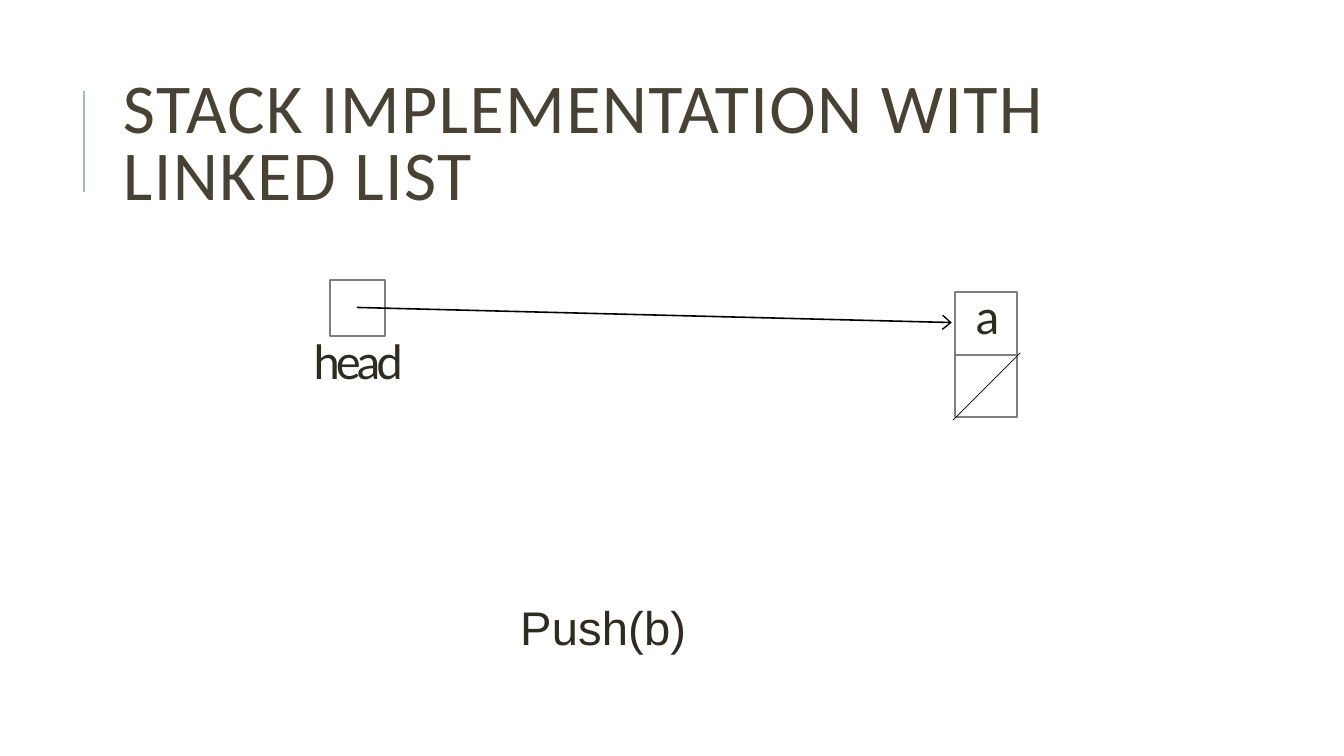
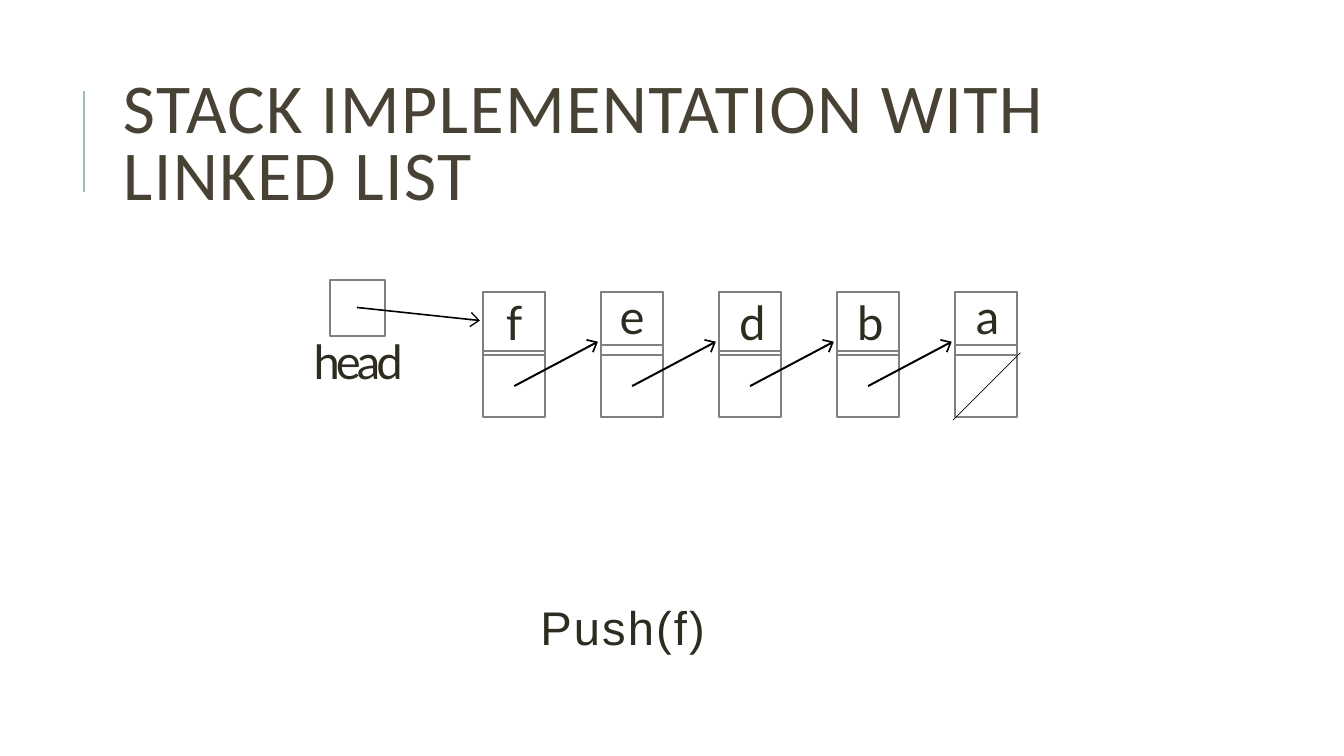
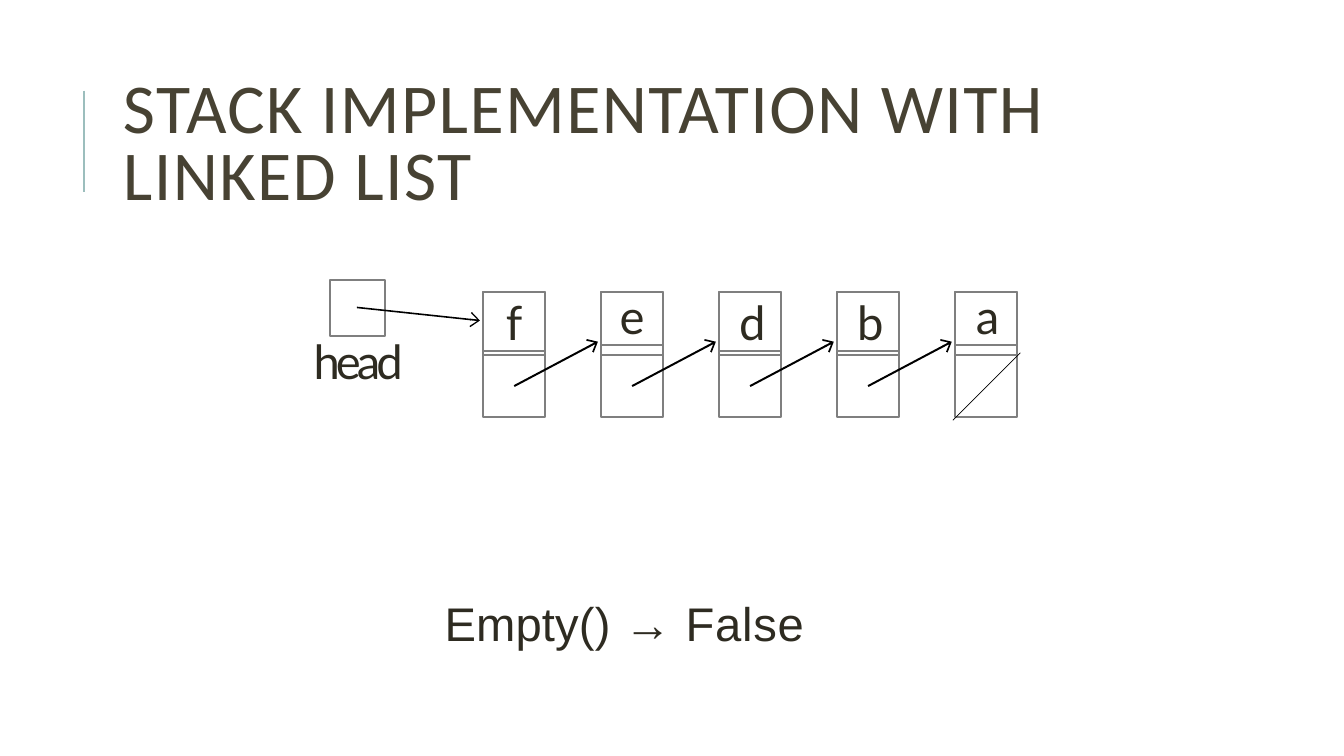
from lxml import etree
from pptx import Presentation
from pptx.dml.color import RGBColor
from pptx.enum.shapes import MSO_CONNECTOR, MSO_SHAPE
from pptx.enum.text import MSO_ANCHOR, PP_ALIGN
from pptx.oxml.ns import qn
from pptx.util import Inches, Pt

ACCENT, OUTLINE, BLACK = "9CBEBD", "7F7F7F", "000000"
TITLE_COLOR, TEXT_COLOR = "474233", "2E2B21"
TITLE = "STACK IMPLEMENTATION WITH LINKED LIST"

CELL, PITCH = 0.62, 1.17
LAST_LEFT, NODE_TOP = 9.47, 2.9
LINK_TOP = NODE_TOP + CELL

# letter: (box height, top margin, left margin, exact line height, tracking);
# a letter without a left margin is centred
LETTERS = {
    "f": (0.58, 0.01, 0, None, -2.7),
    "e": (0.52, 0, 0, 36.6, -4.2),
    "d": (0.58, 0.01, 0.2, None, -2.3),
    "b": (0.58, 0.01, 0.2, None, -2.3),
    "a": (0.52, 0, 0.21, 36.6, -2.4),
}

# stack from top to bottom, tip of the head arrow, caption place, caption runs
# (text, tracking)
STEPS = [
    ("a", (9.44, 3.2), (5.16, 5.98), [("Push(b)", 0.1)]),
    ("fedba", (4.76, 3.18), (5.36, 5.98), [("Push(f)", 1.5)]),
    ("fedba", (4.76, 3.18), (4.41, 5.94),
     [("Empty() ", 0.1), ("→ ", 0.4), ("False", 0.5)]),
]


def add_box(slide, left, top, width, height, runs=(), font="Lato", size=33.7,
            color=TEXT_COLOR, outlined=False, margin=(0, 0)):
    """Add a box with one paragraph of (text, tracking) runs; return its frame."""
    place = [Inches(n) for n in (left, top, width, height)]
    if outlined:
        box = slide.shapes.add_shape(MSO_SHAPE.RECTANGLE, *place)
        box.shadow.inherit = False
        box.fill.background()
        box.line.color.rgb = RGBColor.from_string(OUTLINE)
        box.line.width = Pt(1.42)
    else:
        box = slide.shapes.add_textbox(*place)
    frame = box.text_frame
    frame.word_wrap = True
    frame.vertical_anchor = MSO_ANCHOR.TOP
    frame.margin_left, frame.margin_top = (Inches(n) for n in margin)
    frame.margin_right = frame.margin_bottom = 0
    paragraph = frame.paragraphs[0]
    paragraph.alignment = PP_ALIGN.LEFT
    paragraph.font.name = font
    paragraph.font.size = Pt(size)
    paragraph.font.color.rgb = RGBColor.from_string(color)
    for text, tracking in runs:
        run = paragraph.add_run()
        run.text = text
        run.font.italic = True if "→" in text else None
        run._r.get_or_add_rPr().set("spc", str(round(tracking * 100)))
    return frame


def add_line(slide, start, end, width, color=BLACK, arrow=False):
    line = slide.shapes.add_connector(
        MSO_CONNECTOR.STRAIGHT, *[Inches(n) for n in (*start, *end)])
    line.line.color.rgb = RGBColor.from_string(color)
    line.line.width = Pt(width)
    if arrow:
        etree.SubElement(line.line._get_or_add_ln(), qn("a:tailEnd"),
                         type="arrow", w="lg", len="med")
    etree.SubElement(line._element.spPr, qn("a:effectLst"))


prs = Presentation()
prs.slide_width, prs.slide_height = Inches(13.33), Inches(7.5)

for stack, head_tip, caption_place, caption in STEPS:
    slide = prs.slides.add_slide(prs.slide_layouts[6])

    add_line(slide, (0.83, 0.9), (0.83, 1.9), 1.5, ACCENT)
    title = add_box(slide, 1.22, 0.64, 10.43, 1.64, [(TITLE, 1)],
                    "Calibri", 50, TITLE_COLOR)
    title.vertical_anchor = MSO_ANCHOR.MIDDLE
    title.paragraphs[0].line_spacing = 0.8

    add_box(slide, 3.27, 2.78, 0.55, 0.55, outlined=True)
    head = add_box(slide, 3.11, 3.3, 0.93, 0.57, [("head", -2.8)])
    head.paragraphs[0].space_before = Pt(2.4)

    first_left = LAST_LEFT - PITCH * (len(stack) - 1)
    for i, letter in enumerate(stack):
        left = first_left + PITCH * i
        height, top_margin, left_margin, line_height, tracking = LETTERS[letter]
        for cell_top in (NODE_TOP, LINK_TOP):
            add_box(slide, left, cell_top, CELL, CELL, outlined=True)
        value = add_box(slide, left, NODE_TOP, CELL, height,
                        [(letter, tracking)], outlined=len(stack) > 1,
                        margin=(left_margin, top_margin)).paragraphs[0]
        if not left_margin:
            value.alignment = PP_ALIGN.CENTER
        if line_height:
            value.line_spacing = Pt(line_height)
        else:
            value.space_before = Pt(1)

    for i in range(len(stack) - 1):
        left = first_left + PITCH * i
        add_line(slide, (left + CELL / 2, 3.83), (left + PITCH - 0.03, 3.39),
                 1.42, arrow=True)
    add_line(slide, (9.45, 4.17), (10.12, 3.5), 0.4)
    add_line(slide, (3.54, 3.05), head_tip, 1.13, arrow=True)

    operation = add_box(slide, *caption_place, 3.86, 0.52, caption, "Arial")
    operation.paragraphs[0].line_spacing = Pt(37.1)

prs.save("out.pptx")
